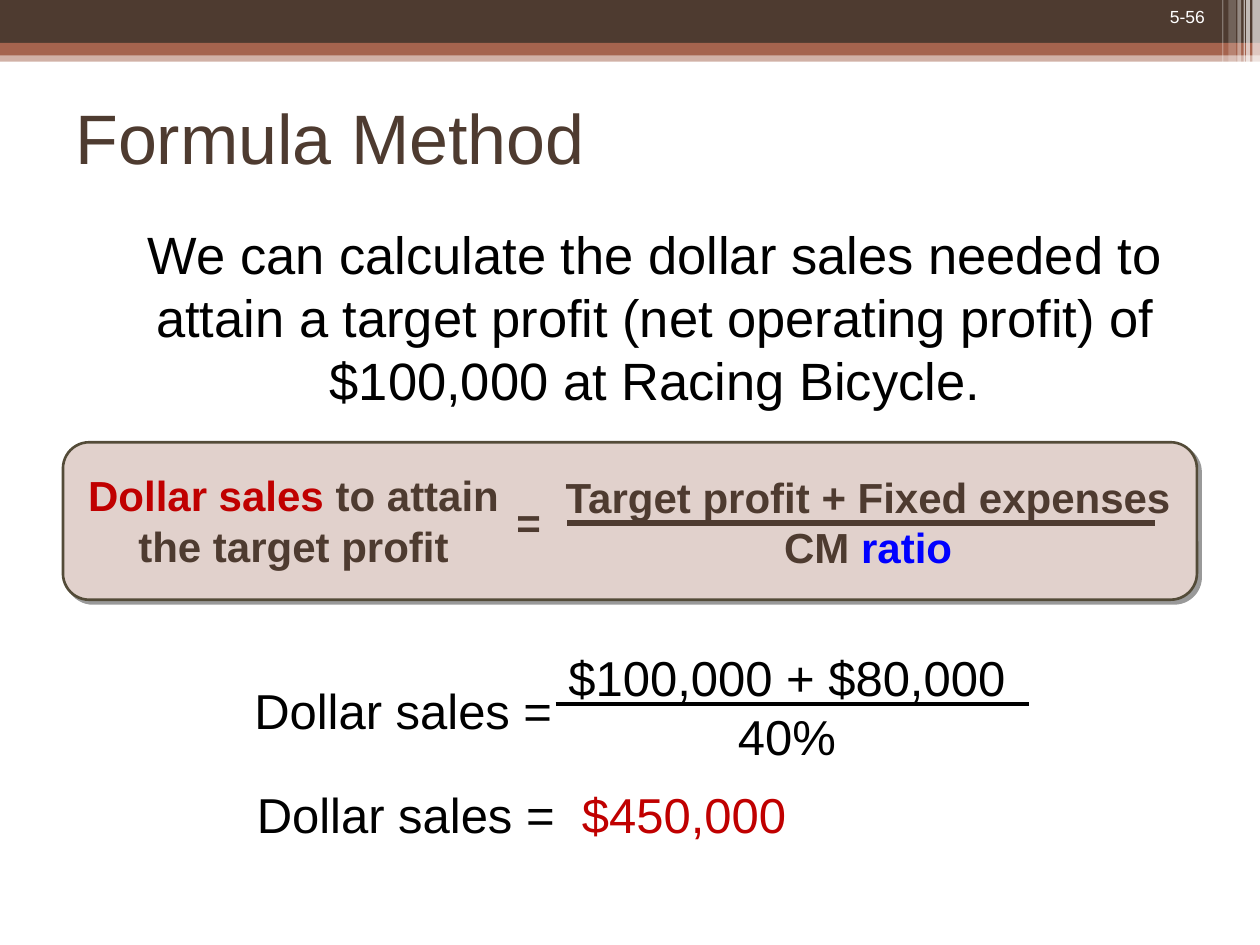
from dataclasses import dataclass

from lxml import etree
from pptx import Presentation
from pptx.dml.color import RGBColor
from pptx.enum.shapes import MSO_CONNECTOR, MSO_SHAPE
from pptx.enum.text import MSO_ANCHOR, PP_ALIGN
from pptx.oxml.ns import qn
from pptx.util import Emu, Inches, Pt

RECTANGLE = MSO_SHAPE.RECTANGLE
ROUNDED = MSO_SHAPE.ROUNDED_RECTANGLE
STRAIGHT = MSO_CONNECTOR.STRAIGHT
LEFT, CENTER, RIGHT = PP_ALIGN.LEFT, PP_ALIGN.CENTER, PP_ALIGN.RIGHT
TOP, MIDDLE = MSO_ANCHOR.TOP, MSO_ANCHOR.MIDDLE

BROWN, RUST, WHITE, BLACK = "4E3B30", "A5644E", "FFFFFF", "000000"
RED, BLUE, PANEL, PANEL_EDGE = "C00000", "0000FF", "E1D1CC", "534B38"
FONT = "Arial"
LINE_BREAK = "\v"
COLUMNS, ROWS = 100, 75
SLIDE_WIDTH, SLIDE_HEIGHT = Inches(10), Inches(7.5)


@dataclass(frozen=True)
class Area:
    column: float
    row: float
    columns: float
    rows: float

    def lengths(self) -> tuple[Emu, Emu, Emu, Emu]:
        return across(self.column), down(self.row), across(self.columns), down(self.rows)


@dataclass(frozen=True)
class Bar:
    area: Area
    color: str
    opacity: int = 100
    kind: int = RECTANGLE


@dataclass(frozen=True)
class Label:
    area: Area
    paragraphs: list[list[tuple[str, str]]]
    size: int
    bold: bool = False
    align: int = LEFT
    anchor: int = TOP
    wrap: bool = True
    margin: float = 0
    space_before: int = 0
    tab: float = 0


@dataclass(frozen=True)
class Rule:
    start: float
    end: float
    row: float
    color: str
    width: float


def across(columns: float) -> Emu:
    return Emu(round(SLIDE_WIDTH * columns / COLUMNS))


def down(rows: float) -> Emu:
    return Emu(round(SLIDE_HEIGHT * rows / ROWS))


def paint(color_format, color: str) -> None:
    color_format.rgb = RGBColor.from_string(color)


def set_opacity(color_element, opacity: int) -> None:
    etree.SubElement(color_element, qn("a:alpha"), val=str(opacity * 1000))


def draw_bar(slide, bar: Bar):
    shape = slide.shapes.add_shape(bar.kind, *bar.area.lengths())
    shape.shadow.inherit = False
    shape.fill.solid()
    paint(shape.fill.fore_color, bar.color)
    shape.line.fill.background()
    if bar.opacity < 100:
        set_opacity(shape.fill._xPr.find(".//" + qn("a:srgbClr")), bar.opacity)
    return shape


def draw_panel(slide, area: Area) -> None:
    panel = draw_bar(slide, Bar(area, PANEL, kind=ROUNDED))
    panel.line.width = Pt(1.5)
    paint(panel.line.color, PANEL_EDGE)
    effects = panel._element.spPr.find(qn("a:effectLst"))
    shadow = etree.SubElement(effects, qn("a:outerShdw"), blurRad="0", dist=str(Pt(3)),
                              dir=str(45 * 60000), algn="tl", rotWithShape="0")
    set_opacity(etree.SubElement(shadow, qn("a:srgbClr"), val=BLACK), 40)


def draw_label(slide, label: Label) -> None:
    text_frame = slide.shapes.add_textbox(*label.area.lengths()).text_frame
    text_frame.word_wrap = label.wrap
    text_frame.vertical_anchor = label.anchor
    for index, pieces in enumerate(label.paragraphs):
        paragraph = text_frame.add_paragraph() if index else text_frame.paragraphs[0]
        paragraph.alignment = label.align
        properties = paragraph._p.get_or_add_pPr()
        if label.margin:
            properties.set("marL", str(across(label.margin)))
            properties.set("indent", "0")
        if label.space_before:
            paragraph.space_before = Pt(label.space_before)
        if label.tab:
            tabs = etree.SubElement(properties, qn("a:tabLst"))
            etree.SubElement(tabs, qn("a:tab"), pos=str(across(label.tab)), algn="l")
        for text, color in pieces:
            if text == LINE_BREAK:
                paragraph.add_line_break()
                continue
            run = paragraph.add_run()
            run.text = text
            run.font.name = FONT
            run.font.size = Pt(label.size)
            run.font.bold = label.bold
            paint(run.font.color, color)


def draw_rule(slide, rule: Rule) -> None:
    row = down(rule.row)
    line = slide.shapes.add_connector(STRAIGHT, across(rule.start), row, across(rule.end), row)
    line.line.width = Pt(rule.width)
    paint(line.line.color, rule.color)
    etree.SubElement(line._element.spPr, qn("a:effectLst"))


BARS = [
    Bar(Area(0, 4, 100, 0.9), RUST, 50),
    Bar(Area(0, 0, 100, 3.4), BROWN),
    Bar(Area(0, 3.4, 100, 1), RUST),
    Bar(Area(59.1, 5.4, 33.5, 0.3), WHITE, kind=ROUNDED),
    Bar(Area(80.6, 6.4, 17.5, 0.4), WHITE, kind=ROUNDED),
    Bar(Area(99.4, 0, 0.6, 6.8), WHITE, 65),
    Bar(Area(98.9, 0, 0.3, 6.8), WHITE, 65),
    Bar(Area(98.7, 0, 0.1, 6.8), WHITE, 60),
    Bar(Area(98.2, 0, 0.3, 6.8), WHITE, 40),
    Bar(Area(97.5, 0, 0.6, 6.4), WHITE, 20),
    Bar(Area(97, 0, 0.1, 6.4), WHITE, 30),
]

HEADINGS = [
    Label(Area(85.8, 0, 10.8, 2.7), [[("5-56", WHITE)]], 10, align=RIGHT),
    Label(Area(5, 5, 90, 11.7), [[("Formula Method", BROWN)]], 40, anchor=MIDDLE),
    Label(Area(5, 17.1, 90, 47.3),
          [[("We can calculate the dollar sales needed to attain a target profit "
             "(net operating profit) of $100,000 at Racing Bicycle.", BLACK)]],
          30, align=CENTER, margin=4),
]

FORMULA = [
    Label(Area(43.8, 36.9, 50.2, 9),
          [[("Target profit + Fixed expenses", BROWN)], [("CM ", BROWN), ("ratio", BLUE)]],
          24, bold=True, align=CENTER, wrap=False),
    Label(Area(40, 38.9, 3.9, 5), [[("=", BROWN)]], 24, bold=True, wrap=False),
    Label(Area(6, 36.8, 34.6, 9),
          [[("Dollar sales ", RED), ("to attain", BROWN), (LINE_BREAK, BROWN),
            ("the target profit", BROWN)]],
          24, bold=True, align=CENTER, wrap=False),
]

CALCULATION = [
    Label(Area(19.4, 61.8, 44, 5.7), [[("Dollar sales =\t", BLACK), ("$450,000", RED)]],
          28, tab=25.8),
    Label(Area(38.3, 50.9, 48.3, 10.4),
          [[("$100,000 + $80,000", BLACK)], [("40%", BLACK)]], 28, align=CENTER),
    Label(Area(19.2, 53.5, 31.3, 5.7), [[("Dollar sales =", BLACK)]], 28),
]

RULES = [
    Rule(45, 91.7, 41.5, BROWN, 3),
    Rule(44.1, 81.7, 55.9, BLACK, 2.25),
]


def main() -> None:
    presentation = Presentation()
    presentation.slide_width, presentation.slide_height = SLIDE_WIDTH, SLIDE_HEIGHT
    slide = presentation.slides.add_slide(presentation.slide_layouts[6])
    for bar in BARS:
        draw_bar(slide, bar)
    for label in HEADINGS:
        draw_label(slide, label)
    draw_panel(slide, Area(5, 35.1, 90, 12.5))
    for label in FORMULA + CALCULATION:
        draw_label(slide, label)
    for rule in RULES:
        draw_rule(slide, rule)
    presentation.save("out.pptx")


if __name__ == "__main__":
    main()
